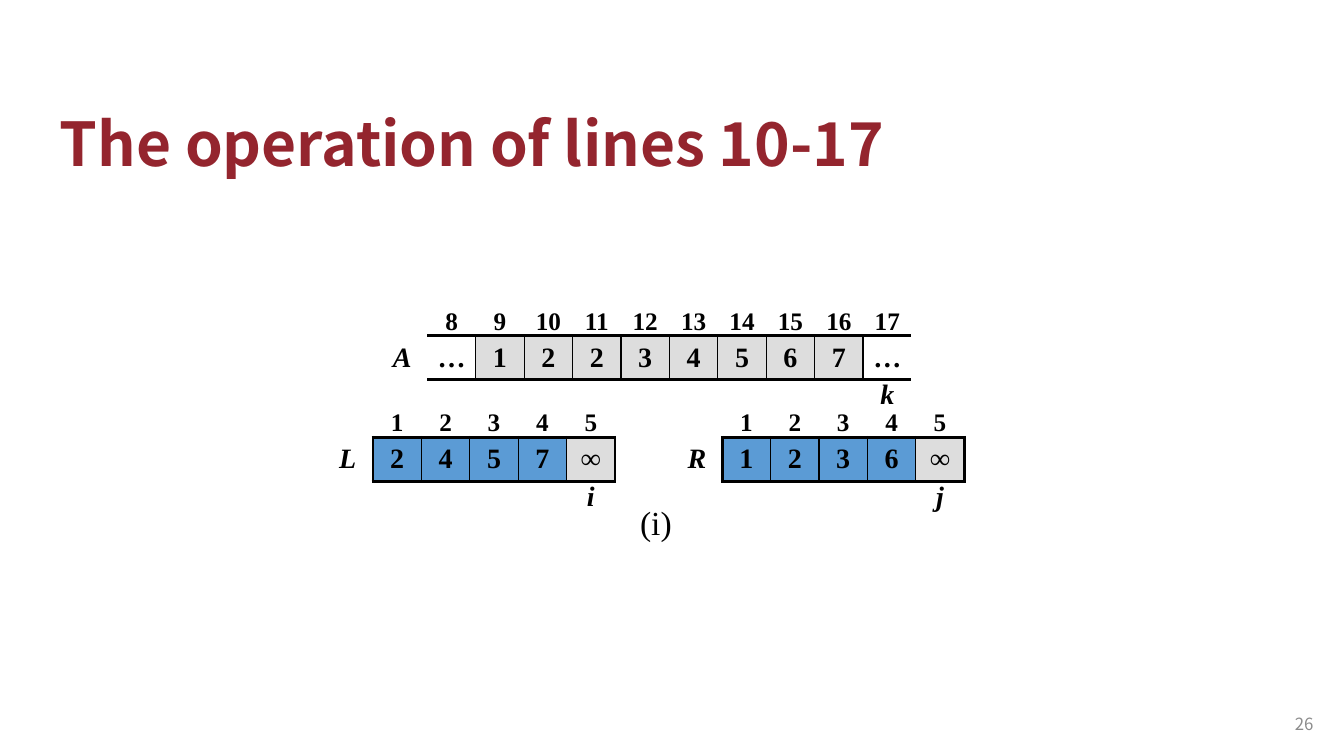
from lxml import etree
from pptx import Presentation
from pptx.dml.color import RGBColor
from pptx.enum.text import MSO_ANCHOR, MSO_AUTO_SIZE, PP_ALIGN
from pptx.oxml.ns import qn
from pptx.util import Cm, Pt

TOP, MIDDLE, BOTTOM = MSO_ANCHOR.TOP, MSO_ANCHOR.MIDDLE, MSO_ANCHOR.BOTTOM
LEFT, CENTER, RIGHT = PP_ALIGN.LEFT, PP_ALIGN.CENTER, PP_ALIGN.RIGHT
NO_AUTOFIT = MSO_AUTO_SIZE.NONE
TITLE_ONLY = 5

COLORS = {
    "title": "94252E",
    "ink": "000000",
    "number": "8C8C8C",
    "gray": "DDDDDD",
    "blue": "5B9BD5",
}
SANS = "Noto Sans CJK SC"
SERIF = "Times New Roman"
PLAIN_TABLE = "{2D5ABB26-0587-4C30-8999-92F81FD0307C}"

LABEL_WIDTH = 1.27
CELL_WIDTH = 1.22
ROW_HEIGHTS = (0.99, 1.1, 0.99)
ROW_ANCHORS = (BOTTOM, MIDDLE, TOP)
ROW_SIZES = (18, 20, 20)
PADDING = 0.13
THICK, THIN = 2.25, 1


def add_span(para, text, font, size, color, bold=False, italic=False):
    span = para.add_run()
    span.text = text
    span.font.name = font
    span.font.size = Pt(size)
    span.font.color.rgb = RGBColor.from_string(COLORS[color])
    span.font.bold = bold
    span.font.italic = italic


def set_border(cell, side, width):
    properties = cell._tc.get_or_add_tcPr()
    line = etree.SubElement(properties, qn(f"a:ln{side}"), w=str(Pt(width)))
    if width:
        fill = etree.SubElement(line, qn("a:solidFill"))
        etree.SubElement(fill, qn("a:srgbClr"), val=COLORS["ink"])
    else:
        etree.SubElement(line, qn("a:noFill"))


def border_widths(row, column, last, framed):
    edge = THICK if framed else 0
    if column == 0:
        return {"L": 0, "R": edge if row == 1 else 0, "T": 0, "B": 0}
    if row == 0:
        return {"L": 0, "R": 0, "T": 0, "B": THICK}
    if row == 2:
        return {"L": 0, "R": 0, "T": THICK, "B": 0}
    return {
        "L": edge if column == 1 else THIN,
        "R": edge if column == last else THIN,
        "T": THICK,
        "B": THICK,
    }


def add_array(page, left, top, name, first_index, values, fills, pointer, framed):
    count = len(values)
    grid = [
        [""] + [str(first_index + step) for step in range(count)],
        [name] + values,
        [""] * count + [pointer],
    ]
    width = LABEL_WIDTH + count * CELL_WIDTH
    frame = page.shapes.add_table(
        len(grid), count + 1, Cm(left), Cm(top), Cm(width), Cm(sum(ROW_HEIGHTS))
    )
    table = frame.table
    table.first_row = False
    table.horz_banding = False
    table._tbl.tblPr.find(qn("a:tableStyleId")).text = PLAIN_TABLE
    for column, part in enumerate(table.columns):
        part.width = Cm(CELL_WIDTH if column else LABEL_WIDTH)
    for row, texts in enumerate(grid):
        table.rows[row].height = Cm(ROW_HEIGHTS[row])
        for column, text in enumerate(texts):
            cell = table.cell(row, column)
            for side, weight in border_widths(row, column, count, framed).items():
                set_border(cell, side, weight)
            fill = fills[column - 1] if row == 1 and column else None
            if fill:
                cell.fill.solid()
                cell.fill.fore_color.rgb = RGBColor.from_string(COLORS[fill])
            else:
                cell.fill.background()
            cell.vertical_anchor = ROW_ANCHORS[row]
            cell.margin_left = cell.margin_right = Cm(0.25)
            cell.margin_top = Cm(PADDING if text and row < 2 else 0)
            cell.margin_bottom = Cm(PADDING if text and row > 0 else 0)
            para = cell.text_frame.paragraphs[0]
            para.alignment = CENTER
            if text:
                italic = row == 2 or (row == 1 and column == 0)
                add_span(para, text, SERIF, ROW_SIZES[row], "ink", True, italic)


def add_title(page, left, top, width, height):
    title = page.shapes.title
    title.left, title.top = Cm(left), Cm(top)
    title.width, title.height = Cm(width), Cm(height)
    title.text_frame.auto_size = NO_AUTOFIT
    title.text_frame.word_wrap = True
    title.text_frame.vertical_anchor = BOTTOM
    para = title.text_frame.paragraphs[0]
    para.alignment = LEFT
    para.line_spacing = 0.9
    add_span(para, "The operation of lines 10-17", SANS, 43.2, "title", bold=True)


def add_caption(page, left, top, width, height):
    box = page.shapes.add_textbox(Cm(left), Cm(top), Cm(width), Cm(height))
    box.text_frame.word_wrap = False
    add_span(box.text_frame.paragraphs[0], "(i)", SERIF, 24, "ink")


def add_page_number(page, left, top, width, height):
    box = page.shapes.add_textbox(Cm(left), Cm(top), Cm(width), Cm(height))
    box.text_frame.word_wrap = True
    box.text_frame.vertical_anchor = MIDDLE
    para = box.text_frame.paragraphs[0]
    para.alignment = RIGHT
    add_span(para, "26", SANS, 12, "number")


def add_arrays(page, left, top):
    merged = ["…", "1", "2", "2", "3", "4", "5", "6", "7", "…"]
    merged_fills = [None] + ["gray"] * 8 + [None]
    half_fills = ["blue"] * 4 + ["gray"]
    add_array(page, left + 1.37, top, "A", 8, merged, merged_fills, "k", False)
    halves = [
        ("L", ["2", "4", "5", "7", "∞"], "i", 0),
        ("R", ["1", "2", "3", "6", "∞"], "j", 8.8),
    ]
    for name, values, pointer, offset in halves:
        add_array(
            page, left + offset, top + 2.56, name, 1, values, half_fills, pointer, True
        )


def main():
    deck = Presentation()
    deck.slide_width, deck.slide_height = Cm(33.87), Cm(19.05)
    page = deck.slides.add_slide(deck.slide_layouts[TITLE_ONLY])
    add_page_number(page, 31.83, 17.73, 1.52, 1.02)
    add_title(page, 1.25, 2.24, 21.41, 2.41)
    add_arrays(page, 8.13, 7.47)
    add_caption(page, 15.88, 12.52, 1.32, 1.27)
    deck.save("out.pptx")


if __name__ == "__main__":
    main()
